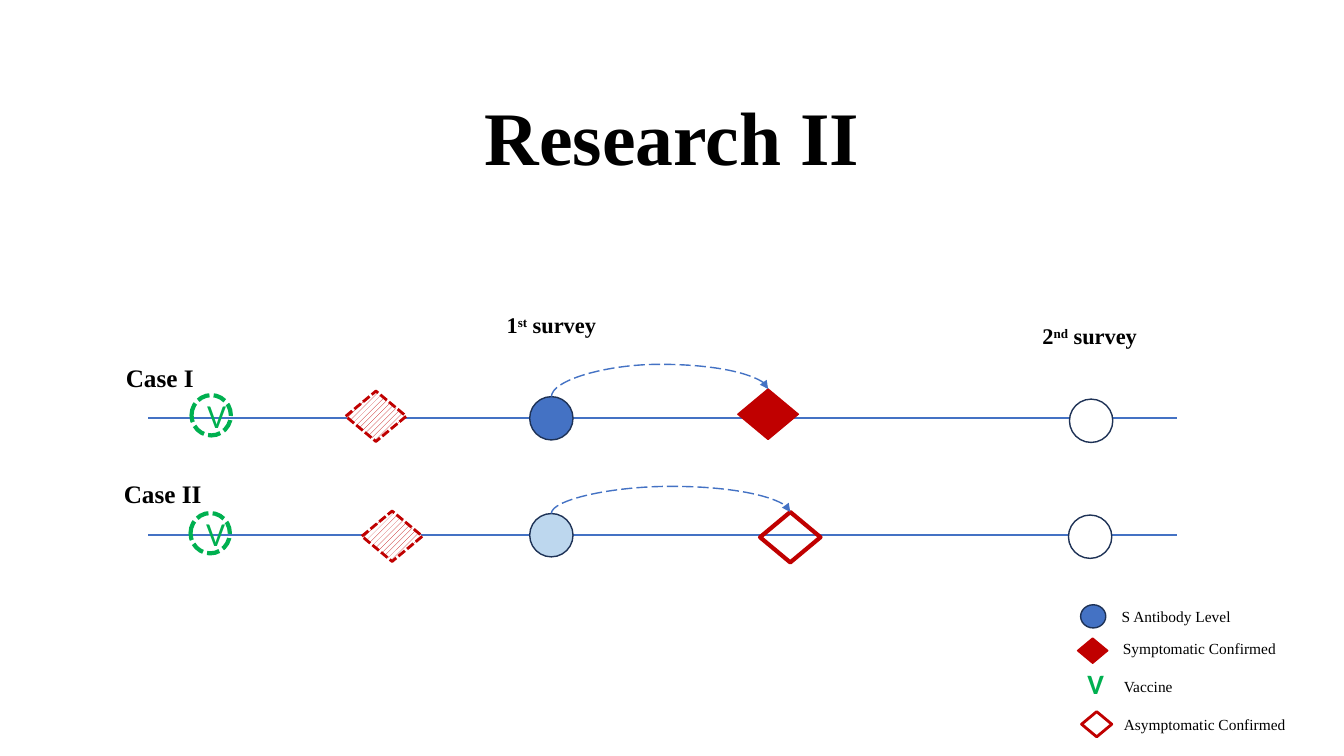
from dataclasses import dataclass

from lxml.etree import SubElement
from pptx import Presentation
from pptx.dml.color import RGBColor
from pptx.enum.dml import MSO_LINE, MSO_PATTERN
from pptx.enum.shapes import MSO_CONNECTOR, MSO_SHAPE
from pptx.enum.text import MSO_ANCHOR, MSO_AUTO_SIZE, PP_ALIGN
from pptx.oxml.ns import qn
from pptx.util import Inches, Pt


@dataclass(frozen=True)
class Theme:
    serif: str = "Times New Roman"
    sans: str = "Calibri"
    black: str = "000000"
    white: str = "FFFFFF"
    blue: str = "4472C4"
    navy: str = "1E3256"
    pale: str = "BDD7EE"
    red: str = "C00000"
    green: str = "00B050"
    head: int = 54
    sign: int = 24
    case: int = 18
    key: int = 20
    survey: int = 16
    note: int = 11


@dataclass(frozen=True)
class Box:
    """An area in grid cells; a cell is a tenth of an inch."""
    x: float
    y: float
    w: float
    h: float

    def sub(self, col, row, w, h):
        return Box(self.x + col, self.y + row, w, h)

    def mid(self, col, row, w, h):
        return self.sub(col - w / 2, row - h / 2, w, h)

    def emu(self):
        return [cells(v) for v in (self.x, self.y, self.w, self.h)]


T = Theme()
COLS, ROWS = 133.33, 75
BALL, GEM, RING = (4.3, 4.3), (6, 5), (3.9, 4)
HATCH = "hatch"

# Each mark: centre column from the line's start, centre row from the line.
CASES = [
    dict(name="Case I", row=41.5, label=(-3.2, -6), ring=(6.25, -0.3),
         past=(22.6, -0.2), level=T.blue, hit=(61.5, -0.4), hue=T.red,
         edge=1, last=(93.55, 0.25), rise=3.2),
    dict(name="Case II", row=53.1, label=(-3.4, -6.1), ring=(6.15, -0.2),
         past=(24.2, 0.1), level=T.pale, hit=(63.7, 0.2), hue=None,
         edge=3, last=(93.45, 0.15), rise=2.7),
]


def cells(n):
    return Inches(n / 10)


def rgb(hue):
    return RGBColor.from_string(hue)


def put(thing, values):
    for name, value in values.items():
        setattr(thing, name, value)


def write(para, text, size, hue=T.black, face=T.serif, bold=False):
    run = para.add_run()
    run.text = text
    put(run.font, dict(size=Pt(size), name=face, bold=bold))
    run.font.color.rgb = rgb(hue)
    return run


def label(slide, box, text="", size=T.note, align=PP_ALIGN.LEFT, **look):
    frame = slide.shapes.add_textbox(*box.emu()).text_frame
    put(frame, dict(word_wrap=True, auto_size=MSO_AUTO_SIZE.SHAPE_TO_FIT_TEXT))
    para = frame.paragraphs[0]
    para.alignment = align
    if text:
        write(para, text, size, **look)
    return para


def mark(slide, kind, box, fill, line, width=1, dash=None):
    shape = slide.shapes.add_shape(kind, *box.emu())
    shape.shadow.inherit = False
    if fill is None:
        shape.fill.background()
    elif fill == HATCH:
        shape.fill.patterned()
        shape.fill.pattern = MSO_PATTERN.WIDE_UPWARD_DIAGONAL
        shape.fill.fore_color.rgb = rgb(line)
        shape.fill.back_color.rgb = rgb(T.white)
    else:
        shape.fill.solid()
        shape.fill.fore_color.rgb = rgb(fill)
    shape.line.color.rgb = rgb(line)
    put(shape.line, dict(width=Pt(width), dash_style=dash))
    return shape


def link(slide, kind, start, end, width):
    points = [cells(v) for v in (*start, *end)]
    line = slide.shapes.add_connector(kind, *points)
    line.line.color.rgb = rgb(T.blue)
    line.line.width = Pt(width)
    SubElement(line._element.spPr, qn("a:effectLst"))
    return line


def arc(slide, start, end, rise):
    """Curve up from start, over a crest, down to an arrowhead at end."""
    (x1, y1), (x2, y2) = start, end
    cx, cy = (x1 + x2) / 2, (y1 + y2) / 2
    w, h = y1 - y2, x2 - x1
    curve = link(slide, MSO_CONNECTOR.CURVE, (cx + w / 2, cy + h / 2),
                 (cx - w / 2, cy - h / 2), 1)
    curve.line.dash_style = MSO_LINE.LONG_DASH
    props = curve._element.spPr
    props.find(qn("a:xfrm")).set("rot", "5400000")
    guides = props.find(qn("a:prstGeom")).find(qn("a:avLst"))
    SubElement(guides, qn("a:gd"), name="adj1",
               fmla=f"val {round(rise / w * 100000)}")
    SubElement(props.find(qn("a:ln")), qn("a:tailEnd"), type="triangle")


def title(slide, box):
    shape = slide.shapes.title
    put(shape, dict(zip(("left", "top", "width", "height"), box.emu())))
    shape.text_frame.vertical_anchor = MSO_ANCHOR.TOP
    para = shape.text_frame.paragraphs[0]
    put(para, dict(alignment=PP_ALIGN.CENTER, line_spacing=0.9))
    write(para, "Research II", T.head, bold=True)


def survey(slide, box, number, suffix):
    para = label(slide, box, align=PP_ALIGN.CENTER)
    for text, base in ((number, 0), (suffix, 30000), (" survey", 0)):
        run = write(para, text, T.survey, bold=True)
        if base:
            run._r.get_or_add_rPr().set("baseline", str(base))


def case(slide, box, data):
    """Draw one timeline; the top edge of the box is its axis."""
    link(slide, MSO_CONNECTOR.STRAIGHT, (box.x, box.y),
         (box.x + box.w, box.y), 1.5)
    ball = box.mid(40, 0, *BALL)
    gem = box.mid(*data["hit"], *GEM)
    mark(slide, MSO_SHAPE.OVAL, ball, data["level"], T.navy)
    mark(slide, MSO_SHAPE.DIAMOND, gem, data["hue"], T.red, data["edge"])
    mark(slide, MSO_SHAPE.OVAL, box.mid(*data["last"], *BALL), T.white, T.navy)
    mark(slide, MSO_SHAPE.DIAMOND, box.mid(*data["past"], *GEM), HATCH,
         T.red, 2, MSO_LINE.SQUARE_DOT)
    ring = mark(slide, MSO_SHAPE.OVAL, box.mid(*data["ring"], *RING), None,
                T.green, 3, MSO_LINE.SQUARE_DOT)
    para = ring.text_frame.paragraphs[0]
    para.alignment = PP_ALIGN.CENTER
    write(para, "V", T.sign, T.green, T.sans)
    label(slide, box.sub(*data["label"], 26.4, 4), data["name"], T.case,
          bold=True)
    arc(slide, (ball.x + ball.w / 2, ball.y), (gem.x + gem.w / 2, gem.y),
        data["rise"])


def legend(slide, box):
    mark(slide, MSO_SHAPE.OVAL, box.mid(1.55, 1.45, 2.5, 2.3), T.blue, T.navy)
    mark(slide, MSO_SHAPE.DIAMOND, box.mid(1.5, 4.85, 3, 2.5), T.red, T.red)
    label(slide, box.sub(0, 5.9, 6, 4.4), "V", T.key, hue=T.green,
          face=T.sans, bold=True)
    mark(slide, MSO_SHAPE.DIAMOND, box.mid(1.9, 12.15, 3, 2.5), T.white,
         T.red, 2)
    notes = [("S Antibody Level", 3.4, 0, 13),
             ("Symptomatic Confirmed", 3.5, 3.2, 18.4),
             ("Vaccine", 3.6, 7, 8.8),
             ("Asymptomatic Confirmed", 3.6, 10.7, 20.5)]
    for text, col, row, wide in notes:
        label(slide, box.sub(col, row, wide, 2.9), text)


def main():
    deck = Presentation()
    put(deck, dict(slide_width=cells(COLS), slide_height=cells(ROWS)))
    slide = deck.slides.add_slide(deck.slide_layouts[5])
    title(slide, Box(24.7, 9.4, 83.9, 17.6))
    for data in CASES:
        case(slide, Box(14.7, data["row"], 102.1, 0), data)
    survey(slide, Box(45.5, 30.4, 18.4, 3.7), "1", "st")
    survey(slide, Box(98.9, 31.5, 18.4, 3.7), "2", "nd")
    legend(slide, Box(106.9, 59.7, 24.1, 13.6))
    deck.save("out.pptx")


if __name__ == "__main__":
    main()
